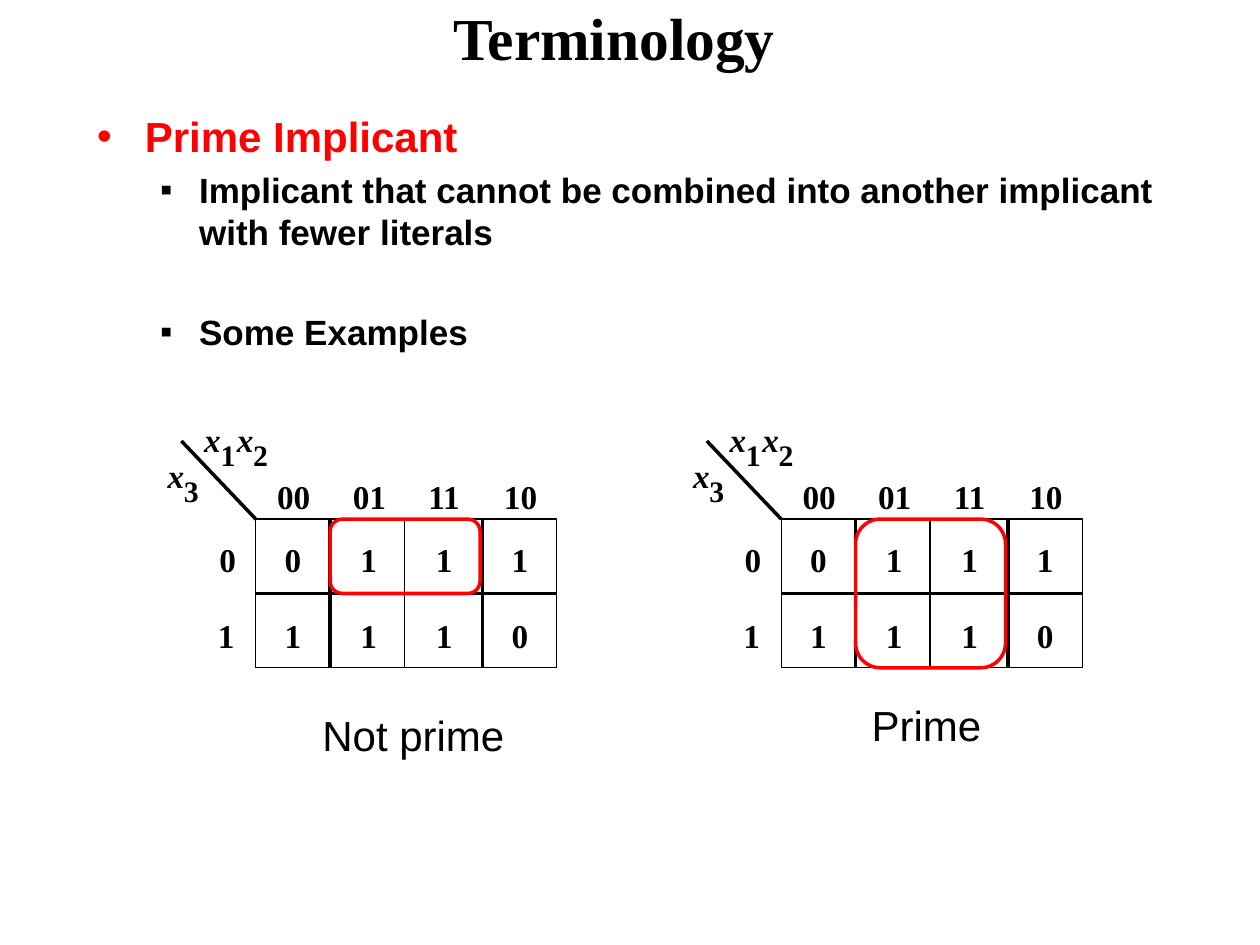
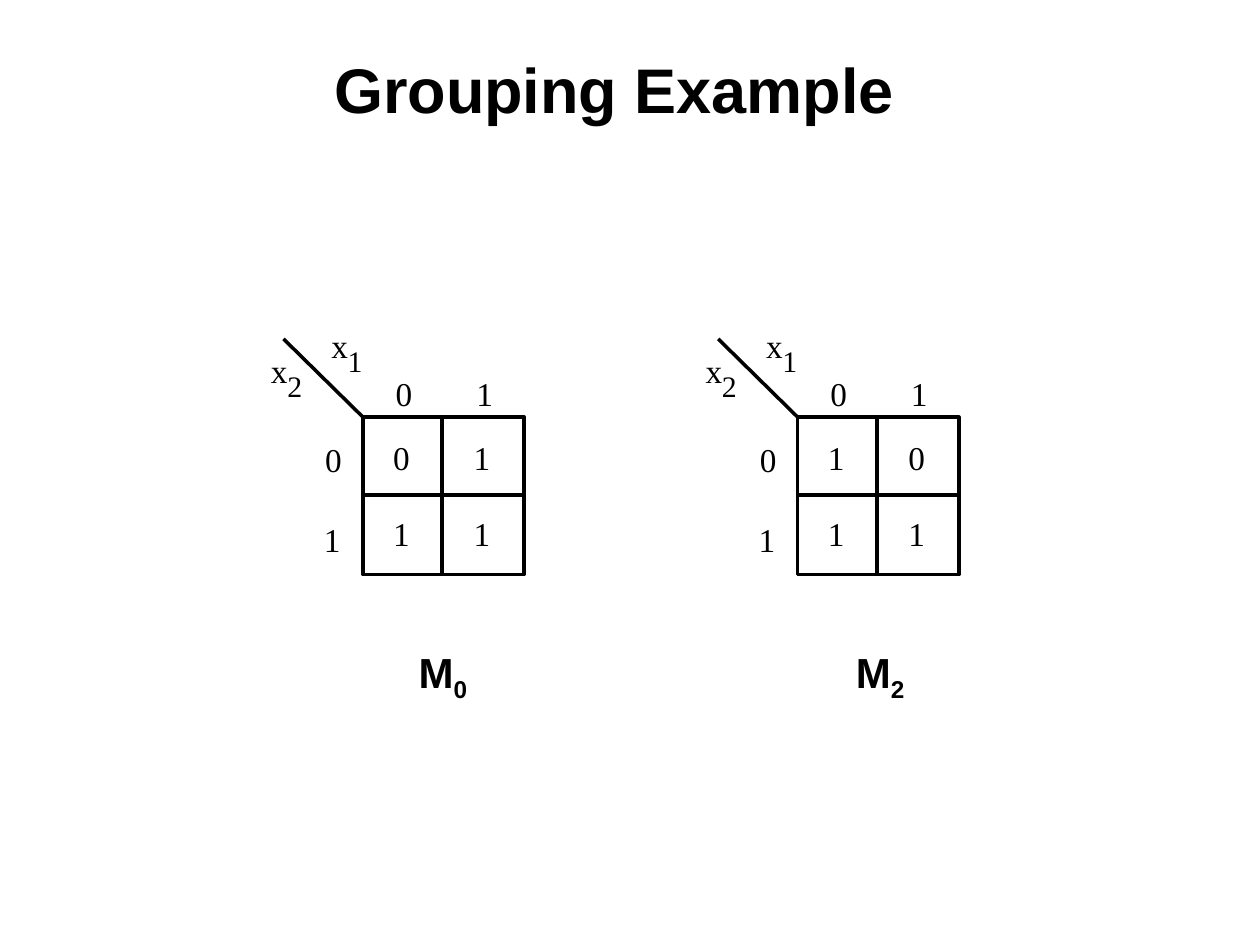
import dataclasses

import pptx
import pptx.dml.color
import pptx.enum.shapes
import pptx.enum.text
import pptx.oxml.ns
import pptx.util
from lxml import etree
from pptx.util import Inches

COLORS = {"ink": "000000", "accent": "FF0000", "paper": "FFFFFF"}
SANS, SERIF = "Arial", "Times New Roman"
SHAPES = pptx.enum.shapes.MSO_SHAPE
ALIGN = pptx.enum.text.PP_ALIGN
ANCHOR = pptx.enum.text.MSO_ANCHOR
FIT = pptx.enum.text.MSO_AUTO_SIZE


def rgb(name):
    return pptx.dml.color.RGBColor.from_string(COLORS[name])


@dataclasses.dataclass
class MapStyle:
    """Look of a Karnaugh map; positions are relative to its top left corner."""
    heads: list
    variables: list        # (subscript, x, y)
    blocks: list           # (left, width, divider)
    height: float
    divider_y: float
    corner: tuple          # far end of the diagonal
    cell_start: tuple
    cell_step: tuple
    head_start: tuple
    row_label_start: tuple
    row_label_step: float
    line_width: float
    fill: str = None
    bold: bool = False
    italic_variables: bool = False


class Deck:
    def __init__(self):
        self.presentation = pptx.Presentation()
        self.presentation.slide_width = Inches(10)
        self.presentation.slide_height = Inches(7.5)
        self.slide = None

    def add_slide(self, layout):
        layouts = self.presentation.slide_layouts
        self.slide = self.presentation.slides.add_slide(layouts.get_by_name(layout))

    @staticmethod
    def place(shape, left, top, width, height):
        shape.left, shape.top = Inches(left), Inches(top)
        shape.width, shape.height = Inches(width), Inches(height)

    @staticmethod
    def add_run(paragraph, text, size, font=SANS, color="ink", bold=False, italic=False):
        run = paragraph.add_run()
        run.text = text
        run.font.size = pptx.util.Pt(size)
        run.font.name = font
        run.font.bold, run.font.italic = bold, italic
        run.font.color.rgb = rgb(color)
        return run

    def title(self, text, top, height, size, font):
        heading = self.slide.shapes.title
        self.place(heading, 0, top, 9.75, height)
        frame = heading.text_frame
        frame.auto_size = FIT.NONE
        frame.vertical_anchor = ANCHOR.MIDDLE
        frame.paragraphs[0].alignment = ALIGN.CENTER
        self.add_run(frame.paragraphs[0], text, size, font, bold=True)

    def bullets(self, items):
        """Fill the body with (text, level, space before in points) items."""
        looks = [(0.38, -0.38, "•", 24, "accent"), (0.81, -0.31, "▪", 20, "ink")]
        body = self.slide.placeholders[1]
        self.place(body, 0.67, 0.83, 8.67, 5.42)
        frame = body.text_frame
        frame.auto_size = FIT.NONE
        for number, (text, level, space) in enumerate(items):
            paragraph = frame.add_paragraph() if number else frame.paragraphs[0]
            margin, indent, mark, size, color = looks[level]
            paragraph.level = level
            if space:
                paragraph.space_before = pptx.util.Pt(space)
            properties = paragraph._p.get_or_add_pPr()
            properties.set("marL", str(Inches(margin)))
            properties.set("indent", str(Inches(indent)))
            for tag, key, value in (("a:buFont", "typeface", SANS), ("a:buChar", "char", mark)):
                etree.SubElement(properties, pptx.oxml.ns.qn(tag)).set(key, value)
            self.add_run(paragraph, text, size, color=color, bold=True)

    def label(self, text, left, top, size=19, bold=False, italic=False):
        """Add a short map entry in a box without margins."""
        box = self.slide.shapes.add_textbox(
            Inches(left), Inches(top), Inches(0.15 * len(text)), Inches(0.32))
        frame = box.text_frame
        frame.margin_left = frame.margin_right = frame.margin_top = frame.margin_bottom = 0
        frame.word_wrap = False
        frame.auto_size = FIT.SHAPE_TO_FIT_TEXT
        self.add_run(frame.paragraphs[0], text, size, SERIF, bold=bold, italic=italic)

    def caption(self, text, left, top, width, bold=False, subscript="", align=ALIGN.LEFT):
        box = self.slide.shapes.add_textbox(
            Inches(left), Inches(top), Inches(width), Inches(0.51))
        box.text_frame.word_wrap = True
        paragraph = box.text_frame.paragraphs[0]
        paragraph.alignment = align
        self.add_run(paragraph, text, 24, bold=bold)
        if subscript:
            run = self.add_run(paragraph, subscript, 24, bold=bold)
            run.font._element.set("baseline", "-25000")

    def outline(self, kind, left, top, width, height, line_width, color="ink", fill=None):
        shape = self.slide.shapes.add_shape(
            kind, Inches(left), Inches(top), Inches(width), Inches(height))
        shape.shadow.inherit = False
        if fill:
            shape.fill.solid()
            shape.fill.fore_color.rgb = rgb(fill)
        else:
            shape.fill.background()
        shape.line.color.rgb = rgb(color)
        shape.line.width = pptx.util.Pt(line_width)

    def line(self, start_x, start_y, end_x, end_y, width):
        connector = self.slide.shapes.add_connector(
            pptx.enum.shapes.MSO_CONNECTOR.STRAIGHT,
            Inches(start_x), Inches(start_y), Inches(end_x), Inches(end_y))
        connector.line.color.rgb = rgb("ink")
        connector.line.width = pptx.util.Pt(width)
        etree.SubElement(connector._element.spPr, pptx.oxml.ns.qn("a:effectLst"))

    def karnaugh_map(self, x, y, rows, style):
        pen = style.line_width
        for left, width, divider in style.blocks:
            self.outline(SHAPES.RECTANGLE, x + left, y, width, style.height, pen,
                         fill=style.fill)
            middle = y + style.divider_y
            self.line(x + left, middle, x + left + width, middle, pen)
            self.line(x + divider, y, x + divider, y + style.height, pen)
        self.line(x + style.corner[0], y + style.corner[1], x, y, pen)

        for subscript, dx, dy in style.variables:
            self.label("x", x + dx, y + dy, bold=style.bold, italic=style.italic_variables)
            self.label(subscript, x + dx + 0.13, y + dy + 0.14, size=17, bold=style.bold)

        step_x, step_y = style.cell_step
        for column, head in enumerate(style.heads):
            self.label(head, x + style.head_start[0] + column * step_x,
                       y + style.head_start[1], bold=style.bold)
        for row, values in enumerate(rows):
            self.label(str(row), x + style.row_label_start[0] - 0.01 * row,
                       y + style.row_label_start[1] + row * style.row_label_step,
                       bold=style.bold)
            for column, value in enumerate(values):
                self.label(value, x + style.cell_start[0] + column * step_x,
                           y + style.cell_start[1] + row * step_y, bold=style.bold)


THREE_VARIABLES = MapStyle(
    heads=["00", "01", "11", "10"],
    variables=[("1", -0.41, -0.79), ("2", -0.15, -0.79), ("3", -0.7, -0.51)],
    blocks=[(0, 1.18, 0.59), (1.18, 1.21, 1.8)],
    height=1.18, divider_y=0.59, corner=(-0.59, -0.62),
    cell_start=(0.23, 0.16), cell_step=(0.6, 0.6), head_start=(0.17, -0.34),
    row_label_start=(-0.29, 0.16), row_label_step=0.6,
    line_width=0, bold=True, italic_variables=True)

TWO_VARIABLES = MapStyle(
    heads=["0", "1"],
    variables=[("2", -0.73, -0.53), ("1", -0.25, -0.73)],
    blocks=[(0, 1.28, 0.63)],
    height=1.25, divider_y=0.62, corner=(-0.63, -0.62),
    cell_start=(0.24, 0.16), cell_step=(0.64, 0.6), head_start=(0.26, -0.35),
    row_label_start=(-0.3, 0.18), row_label_step=0.63,
    line_width=2, fill="paper")


def terminology(deck):
    deck.add_slide("Title and Content")
    deck.title("Terminology", 0.08, 0.42, 34, SERIF)
    deck.bullets([
        ("Prime Implicant", 0, None),
        ("Implicant that cannot be combined into another implicant with fewer literals", 1, None),
        ("Some Examples", 1, 33)])
    top = 4.12
    for left, group_height in ((2.03, 0.59), (6.2, 1.18)):
        deck.karnaugh_map(left, top, ["0111", "1110"], THREE_VARIABLES)
        deck.outline(SHAPES.ROUNDED_RECTANGLE, left + 0.59, top, 1.19, group_height, 2, "accent")
    deck.caption("Not prime", 2.46, 5.58, 2.28)
    deck.caption("Prime", 6.82, 5.5, 2.07)


def grouping_example(deck):
    deck.add_slide("Title Only")
    deck.title("Grouping Example", 0.33, 0.75, 36, SANS)
    for left, rows, minterm, caption_left in (
            (2.88, ["01", "11"], "0", 2.67), (6.33, ["10", "11"], "2", 6.14)):
        deck.karnaugh_map(left, 3.31, rows, TWO_VARIABLES)
        deck.caption("M", caption_left, 5.08, 1.69, bold=True, subscript=minterm,
                     align=ALIGN.CENTER)


def main():
    deck = Deck()
    terminology(deck)
    grouping_example(deck)
    deck.presentation.save("out.pptx")


if __name__ == "__main__":
    main()
